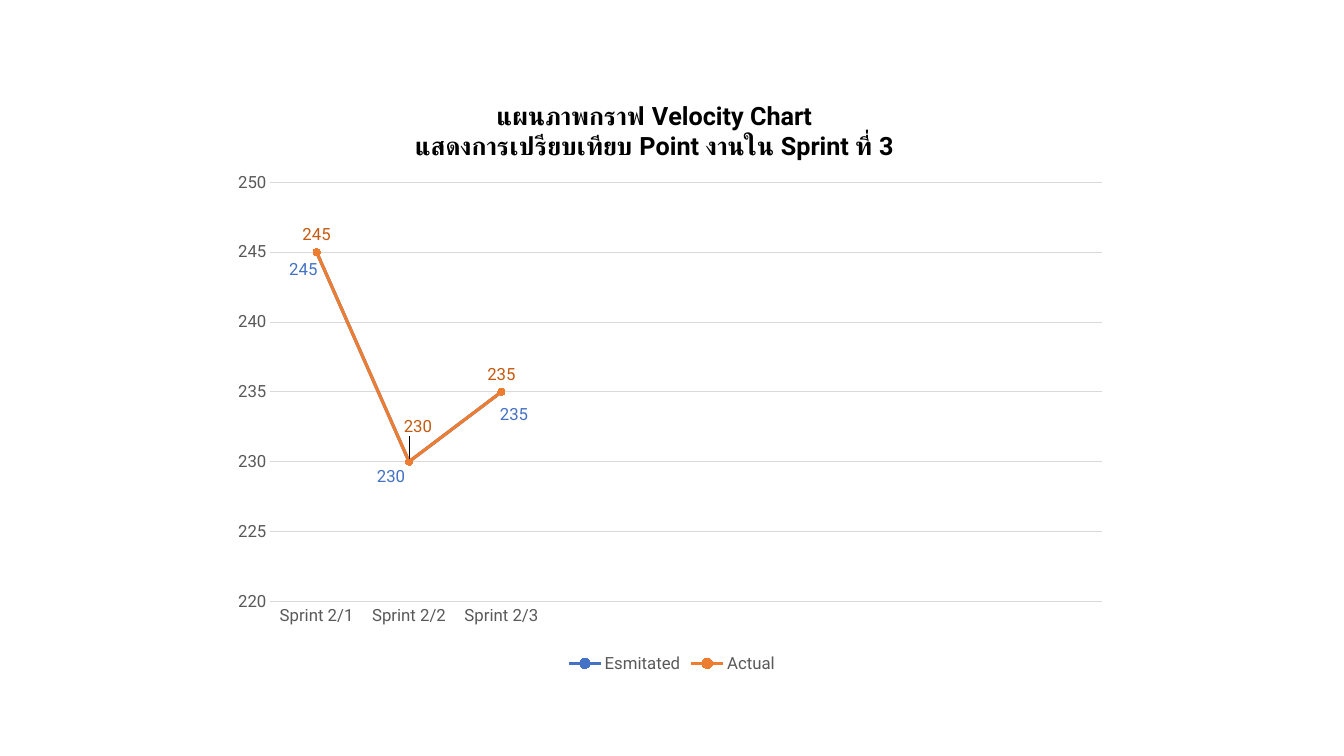
from lxml.etree import SubElement
from pptx import Presentation
from pptx.chart.data import CategoryChartData
from pptx.dml.color import RGBColor
from pptx.enum.chart import XL_CHART_TYPE as ChartType, XL_LABEL_POSITION as LabelPosition
from pptx.enum.chart import XL_LEGEND_POSITION as LegendPosition, XL_MARKER_STYLE as MarkerStyle
from pptx.enum.chart import XL_TICK_MARK as TickMark
from pptx.enum.text import MSO_AUTO_SIZE as AutoSize
from pptx.oxml.ns import qn
from pptx.util import Inches, Pt

FONT = "Roboto"
BLUE, ORANGE, DARK_ORANGE = "4472C4", "ED7D31", "C55A11"
BLACK, GRAY, LIGHT_GRAY = "000000", "595959", "D9D9D9"
TITLE = ["แผนภาพกราฟ Velocity Chart", "แสดงการเปรียบเทียบ Point งานใน Sprint ที่ 3"]
SPRINTS = ["Sprint 2/1", "Sprint 2/2", "Sprint 2/3"]
POINTS = [245, 230, 235]
SLOTS = 9
ESTIMATE_OFFSETS = [(0.55, 1.73), (1.42, 3.78), (2.64, 3.17)]


def color(value):
    return RGBColor.from_string(value)


def style_font(font, size=12, fill=GRAY, bold=False):
    font.name = FONT
    font.size = Pt(size)
    font.bold = bold
    font.color.rgb = color(fill)


def style_line(line, fill, width):
    line.color.rgb = color(fill)
    line.width = Pt(width)


def write(frame, lines, **style):
    for index, line in enumerate(lines):
        paragraph = frame.add_paragraph() if index else frame.paragraphs[0]
        run = paragraph.add_run()
        run.text = line
        style_font(run.font, **style)


def set_layout(parent, index, **settings):
    for existing in parent.findall(qn("c:layout")):
        parent.remove(existing)
    layout = SubElement(parent, qn("c:layout"))
    manual = SubElement(layout, qn("c:manualLayout"))
    for name, value in settings.items():
        SubElement(manual, qn(f"c:{name}")).set("val", str(value))
    parent.insert(index, layout)


def style_axes(chart):
    for axis in (chart.category_axis, chart.value_axis):
        axis.major_tick_mark = axis.minor_tick_mark = TickMark.NONE
        style_font(axis.tick_labels.font)
    style_line(chart.category_axis.format.line, LIGHT_GRAY, 0.75)
    values = chart.value_axis
    values.minimum_scale, values.maximum_scale, values.major_unit = 220, 250, 5
    values.format.line.fill.background()
    style_line(values.major_gridlines.format.line, LIGHT_GRAY, 0.75)


def style_series(series, fill):
    series.smooth = False
    style_line(series.format.line, fill, 2.25)
    marker = series.marker
    marker.style, marker.size = MarkerStyle.CIRCLE, 5
    marker.format.fill.solid()
    marker.format.fill.fore_color.rgb = color(fill)
    style_line(marker.format.line, fill, 0.75)


def label_actual(series):
    labels = series.data_labels
    labels.show_value = True
    moved = series.points[1].data_label
    for label in (labels, moved):
        label.position = LabelPosition.ABOVE
        style_font(label.font, fill=DARK_ORANGE)
    set_layout(series._element.find(".//" + qn("c:dLbl")), 1, x=0.01, y=-0.03)


def add_velocity_chart(slide, left, top, width, height):
    data = CategoryChartData()
    blanks = SLOTS - len(SPRINTS)
    data.categories = SPRINTS + [""] * blanks
    for name in ("Esmitated", "Actual"):
        data.add_series(name, POINTS + [None] * blanks)
    frame = slide.shapes.add_chart(ChartType.LINE_MARKERS, Inches(left), Inches(top),
                                   Inches(width), Inches(height), data)
    chart = frame.chart
    style_font(chart.font, size=10, fill=BLACK)
    write(chart.chart_title.text_frame, TITLE, size=18, fill=BLACK, bold=True)
    set_layout(chart.chart_title._element, 1, xMode="edge", yMode="edge", x=0.21, y=0.03)
    plot = chart.plots[0]
    plot.vary_by_categories = False
    set_layout(plot._element.getparent(), 0, layoutTarget="inner", xMode="edge", yMode="edge",
               x=0.052, y=0.172, w=0.928, h=0.701)
    style_axes(chart)
    for series, fill in zip(plot.series, (BLUE, ORANGE)):
        style_series(series, fill)
    label_actual(plot.series[1])
    chart.has_legend = True
    chart.legend.position = LegendPosition.BOTTOM
    chart.legend.include_in_layout = False
    style_font(chart.legend.font)


def add_estimate_labels(slide, left, top):
    for value, (across, down) in zip(POINTS, ESTIMATE_OFFSETS):
        box = slide.shapes.add_textbox(Inches(left + across), Inches(top + down),
                                       Inches(0.5), Inches(0.28))
        box.text_frame.word_wrap = False
        box.text_frame.auto_size = AutoSize.SHAPE_TO_FIT_TEXT
        write(box.text_frame, [str(value)], fill=BLUE)


def build_velocity_slide(presentation):
    slide = presentation.slides.add_slide(presentation.slide_layouts[6])
    left, top = 2.22, 0.79
    add_velocity_chart(slide, left, top, 8.89, 5.93)
    add_estimate_labels(slide, left, top)


presentation = Presentation()
presentation.slide_width, presentation.slide_height = Inches(13.33), Inches(7.5)
build_velocity_slide(presentation)
presentation.save("out.pptx")
